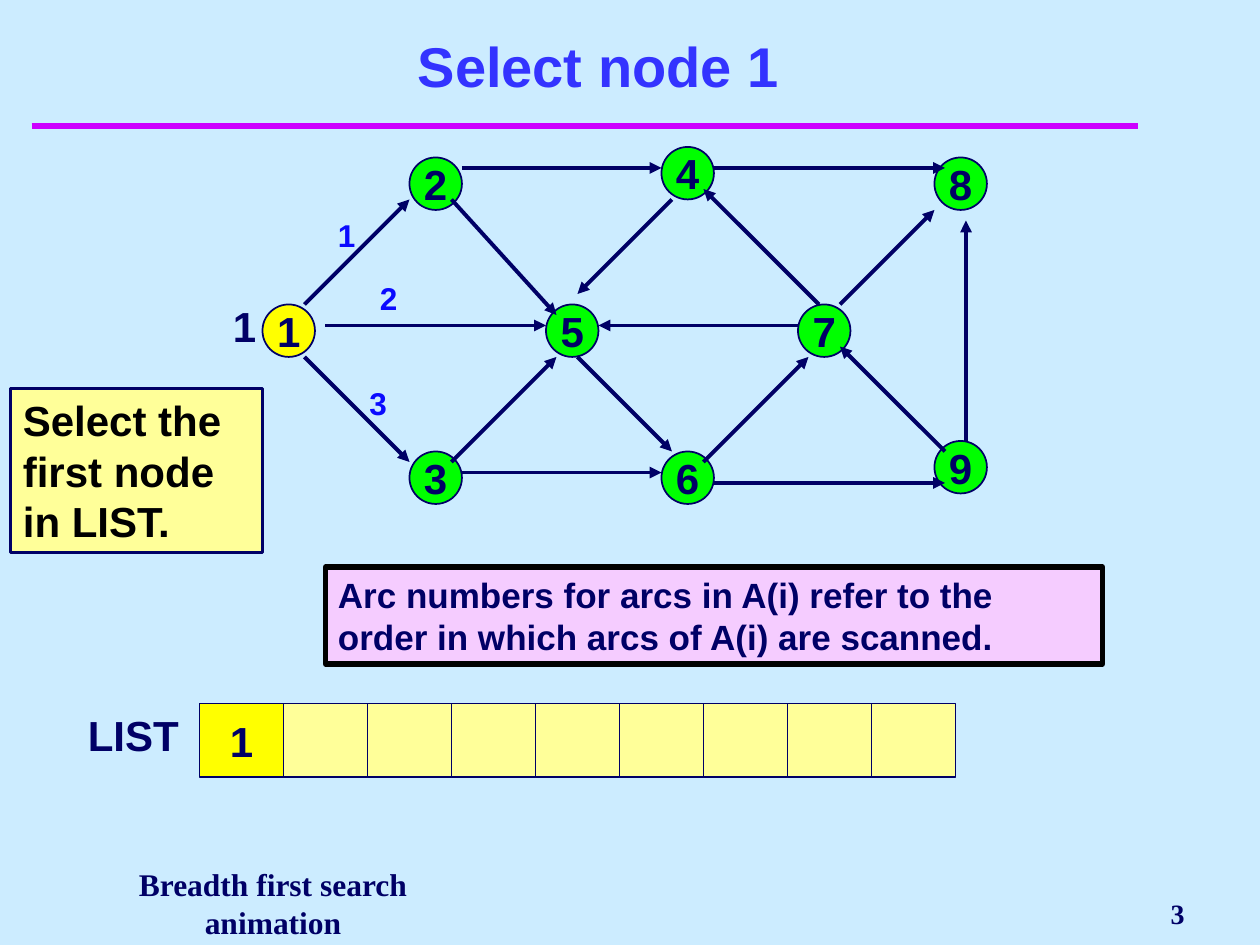
from lxml.etree import SubElement
from pptx import Presentation
from pptx.dml.color import RGBColor
from pptx.enum.shapes import MSO_CONNECTOR, MSO_SHAPE
from pptx.enum.text import MSO_ANCHOR, PP_ALIGN
from pptx.oxml.ns import qn
from pptx.util import Inches, Pt

COLORS = {
    "background": "CCECFF", "rule": "CC00FF", "title": "3333FF",
    "ink": "000066", "black": "000000", "arc": "0A0AFF",
    "node": "00FF00", "selected": "FFFF00", "cell": "FFFF99", "note": "F5CCFF",
}
COLS, ROWS = 120, 90
GRID = Inches(10) // COLS
NODE = 5
NODES = {"2": (14, 1), "4": (38, 0), "5": (27, 15), "3": (14, 29),
         "6": (38, 29), "9": (64, 28), "7": (51, 15), "8": (64, 1)}
SELECTED = ("1", (0, 15))
ARCS = [
    (19, 2, 38, 2), (43, 2, 65, 2), (55, 15, 64, 6), (53, 15, 42, 4),
    (39, 5, 30, 14), (6, 17, 27, 17), (18, 30, 28, 20), (30, 20, 39, 29),
    (19, 31, 38, 31), (43, 32, 65, 32), (65, 29, 55, 19), (67, 28, 67, 7),
    (4, 20, 14, 30), (4, 15, 14, 5), (18, 5, 28, 16), (51, 17, 32, 17),
    (42, 30, 52, 20),
]
ARC_NUMBERS = {"1": (6, 6), "2": (10, 12), "3": (9, 22)}


def grid(*cells):
    return [round(c * GRID) for c in cells]


def color(name):
    return RGBColor.from_string(COLORS[name])


def write(shape, text, size=24, ink="ink", font="Arial", align=PP_ALIGN.LEFT,
          anchor=MSO_ANCHOR.TOP, wrap=True):
    tf = shape.text_frame
    frame = {"word_wrap": wrap, "vertical_anchor": anchor,
             "margin_left": Inches(0.1), "margin_right": Inches(0.1),
             "margin_top": Inches(0.05), "margin_bottom": Inches(0.05)}
    for key, value in frame.items():
        setattr(tf, key, value)
    p = tf.paragraphs[0]
    p.alignment = align
    r = p.add_run()
    r.text = text
    for key, value in {"size": Pt(size), "name": font, "bold": True}.items():
        setattr(r.font, key, value)
    r.font.color.rgb = color(ink)
    return tf


def add_label(s, box, text, **style):
    return write(s.shapes.add_textbox(*grid(*box)), text, **style)


def add_box(s, kind, box, fill, line="ink", width=1):
    sp = s.shapes.add_shape(kind, *grid(*box))
    sp.shadow.inherit = False
    sp.fill.solid()
    sp.fill.fore_color.rgb = color(fill)
    sp.line.color.rgb = color(line)
    sp.line.width = Pt(width)
    return sp


def add_line(s, ends, ink="ink", width=2.25, arrow=True):
    line = s.shapes.add_connector(MSO_CONNECTOR.STRAIGHT, *grid(*ends))
    line.line.color.rgb = color(ink)
    line.line.width = Pt(width)
    if arrow:
        SubElement(line.line._get_or_add_ln(), qn("a:tailEnd"), type="triangle")
    SubElement(line._element.spPr, qn("a:effectLst"))


def add_node(s, left, top, name, fill):
    sp = add_box(s, MSO_SHAPE.OVAL, (left, top, NODE, NODE), fill)
    write(sp, name, align=PP_ALIGN.CENTER, anchor=MSO_ANCHOR.MIDDLE, wrap=False)


def add_header(s, left, top, width, height):
    title = s.shapes.title
    places = zip(("left", "top", "width", "height"), grid(left, top, width, height))
    for key, value in places:
        setattr(title, key, value)
    write(title, "Select node 1", size=32, ink="title",
          align=PP_ALIGN.CENTER, anchor=MSO_ANCHOR.BOTTOM)
    rule = top + height + 2
    add_line(s, (left - 3, rule, left + width + 0.36, rule),
             ink="rule", width=4, arrow=False)


def add_graph(s, left, top):
    for name, (x, y) in NODES.items():
        add_node(s, left + x, top + y, name, "node")
    for x1, y1, x2, y2 in ARCS:
        add_line(s, (left + x1, top + y1, left + x2, top + y2))
    name, (x, y) = SELECTED
    add_label(s, (left + x - 4, top + y - 1, 4, 6), "1")
    add_node(s, left + x, top + y, name, "selected")
    for number, (x, y) in ARC_NUMBERS.items():
        add_label(s, (left + x, top + y, 6, 4.8), number, size=18, ink="arc")


def add_note(s, box, text, fill, line, width, size):
    sp = add_box(s, MSO_SHAPE.RECTANGLE, box, fill, line, width)
    write(sp, text, size=size, ink=line if fill == "cell_note" else "ink")
    return sp


def add_notes(s):
    notes = [
        ((1, 37, 24, 15.6), "Select the first node in LIST.",
         "cell", "ink", 1.5, 24, "black"),
        ((31, 54, 74, 9.24),
         "Arc numbers for arcs in A(i) refer to the order in which arcs of A(i) are scanned.",
         "note", "black", 3, 20, "ink"),
    ]
    for box, text, fill, line, width, size, ink in notes:
        sp = add_box(s, MSO_SHAPE.RECTANGLE, box, fill, line, width)
        write(sp, text, size=size, ink=ink)


def add_list(s, left, top, values, count=9, width=8, height=7):
    tf = add_label(s, (left - 14, top, 13.3, 6), "LIST", wrap=False)
    tf.margin_left = Inches(0.28)
    for i in range(count):
        filled = i < len(values)
        box = (left + i * width, top, width, height)
        sp = add_box(s, MSO_SHAPE.RECTANGLE, box, "selected" if filled else "cell")
        if filled:
            write(sp, values[i], align=PP_ALIGN.CENTER,
                  anchor=MSO_ANCHOR.MIDDLE, wrap=False)


def add_footer(s, left, top, width, height):
    style = {"font": "Times New Roman", "anchor": MSO_ANCHOR.MIDDLE, "wrap": False}
    add_label(s, (left, top, 38, height), "Breadth first search animation",
              size=18, align=PP_ALIGN.CENTER, **style)
    add_label(s, (left + width - 23, top + 1, 23, height), "3",
              size=16, align=PP_ALIGN.RIGHT, **style)


def main():
    prs = Presentation()
    prs.slide_width, prs.slide_height = grid(COLS, ROWS)
    s = prs.slides.add_slide(prs.slide_layouts[5])
    s.background.fill.solid()
    s.background.fill.fore_color.rgb = color("background")
    add_header(s, 6, 3, 102, 7)
    add_graph(s, 25, 14)
    add_notes(s)
    add_list(s, 19, 67, ["1"])
    add_footer(s, 7, 83, 107, 6)
    prs.save("out.pptx")


if __name__ == "__main__":
    main()
